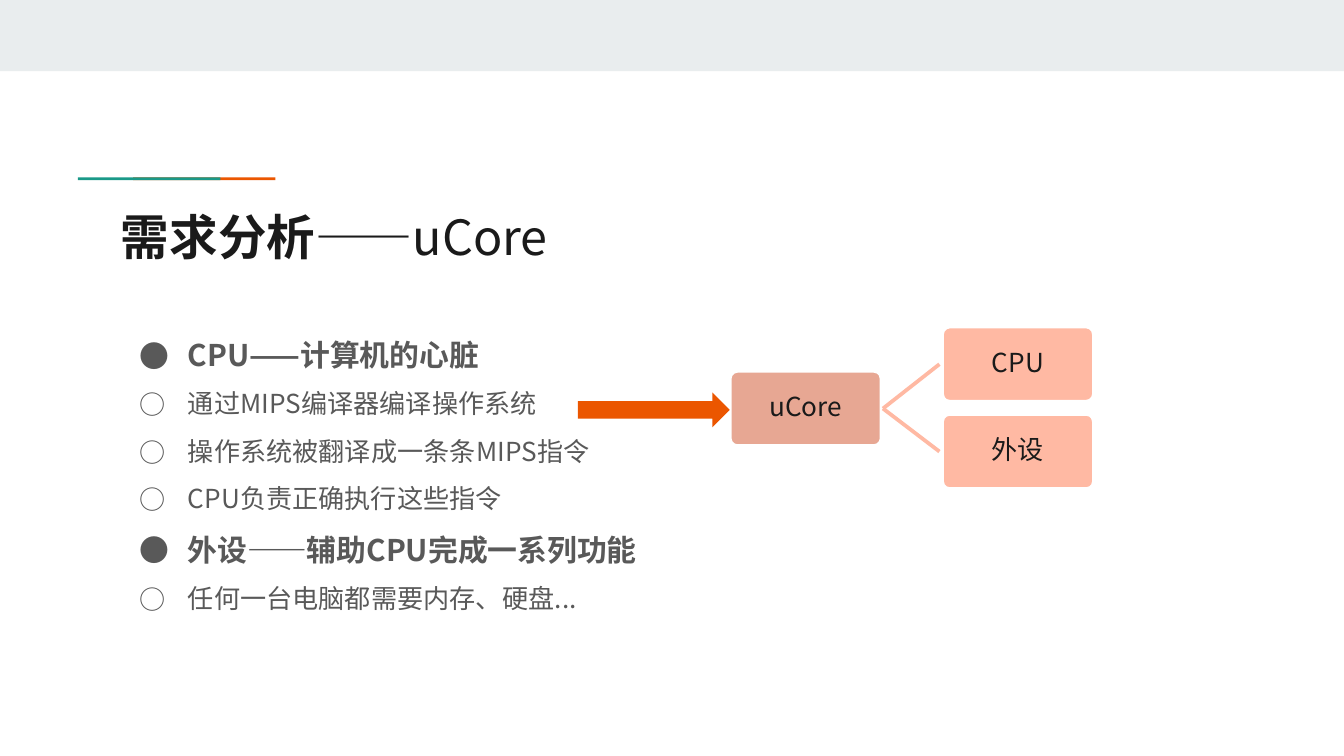
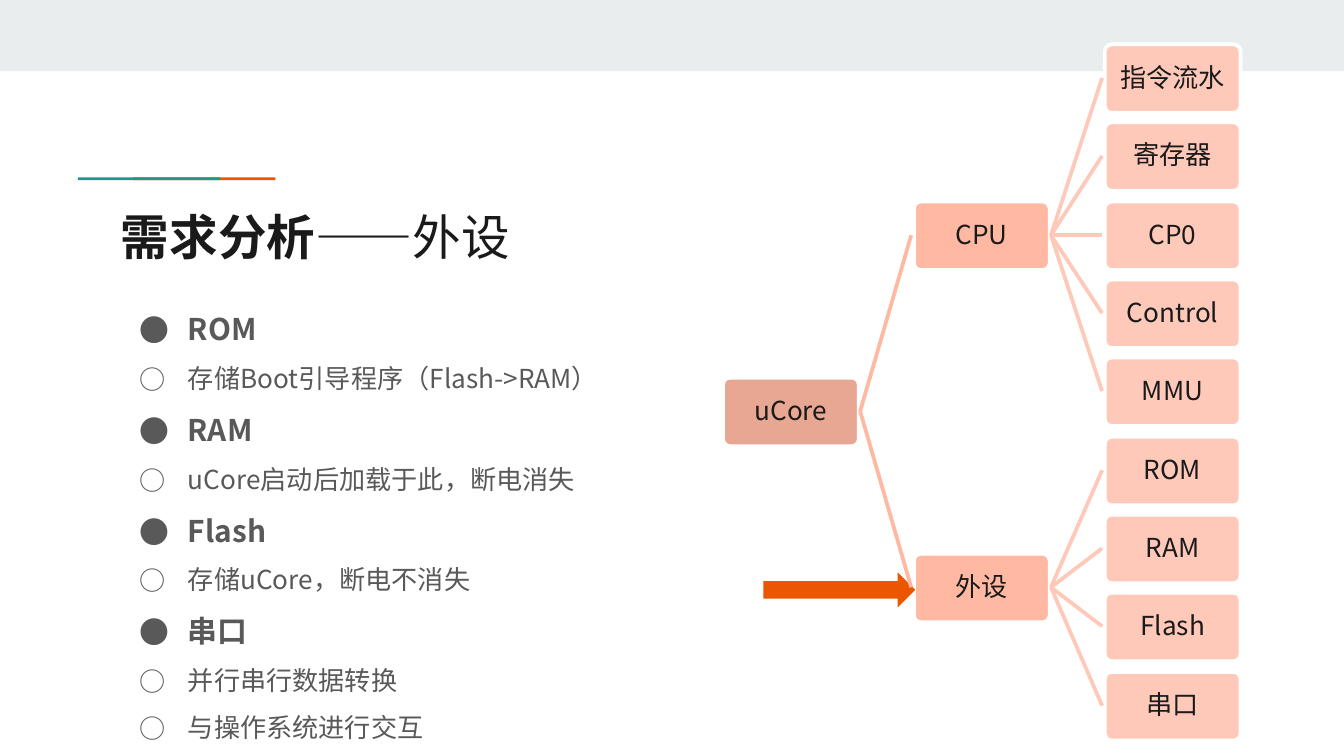
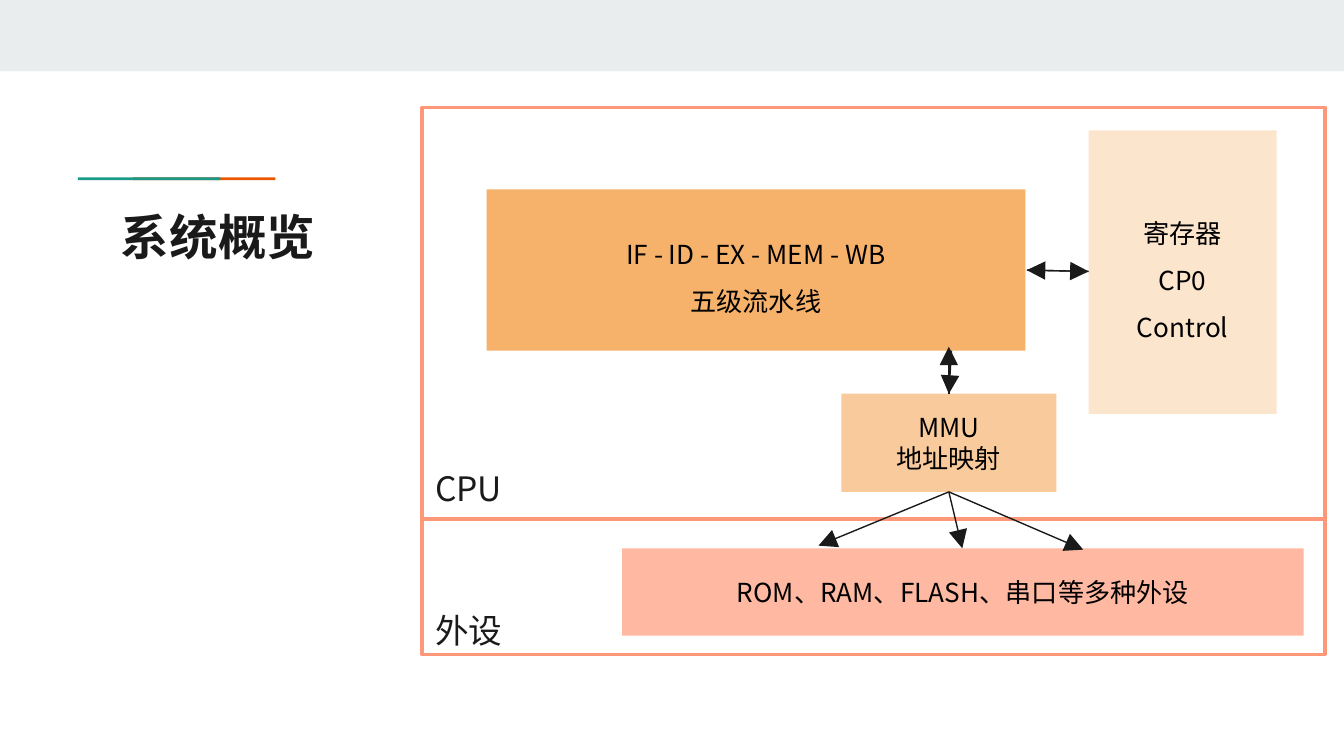
from lxml.etree import SubElement
from pptx import Presentation
from pptx.dml.color import RGBColor
from pptx.enum.shapes import MSO_CONNECTOR, MSO_SHAPE as SHAPE
from pptx.enum.text import MSO_ANCHOR as ANCHOR, MSO_AUTO_SIZE, PP_ALIGN as ALIGN
from pptx.oxml.ns import qn
from pptx.util import Pt

PX = 9144
FONT = "Noto Sans CJK SC"
INK, GREY, BLACK, WHITE = "1A1A1A", "595959", "000000", "FFFFFF"
BAND, TEAL, ORANGE, FRAME = "E9EDEE", "1A9988", "EB5600", "FF9878"
LEVEL_FILLS = ["E7A793", "FFB9A3", "FFC9BA"]
hex_color = RGBColor.from_string


def add_box(page, kind, place, fill, edge=None):
    box = page.shapes.add_shape(kind, *[length * PX for length in place])
    box.shadow.inherit = False
    box.fill.solid()
    box.fill.fore_color.rgb = hex_color(fill)
    if edge:
        box.line.color.rgb = hex_color(edge)
        box.line.width = Pt(2)
    else:
        box.line.fill.background()
    return box


def write(box, lines, color, size=14, bold=False, align=ALIGN.LEFT,
          anchor=ANCHOR.TOP, spacing=1.0, margin=10):
    frame = box.text_frame
    frame.word_wrap = True
    frame.auto_size = MSO_AUTO_SIZE.NONE
    frame.vertical_anchor = anchor
    frame.margin_left = frame.margin_right = margin * PX
    frame.margin_top = frame.margin_bottom = margin * PX
    for index, line in enumerate(lines):
        para = frame.paragraphs[0] if index == 0 else frame.add_paragraph()
        para.text = line.lstrip("●○")
        para.alignment = align
        para.line_spacing = spacing
        para.space_before = Pt(0)
        heading = line.startswith("●")
        if heading or line.startswith("○"):
            para.level = 0 if heading else 4
            props = para._p.get_or_add_pPr()
            props.set("marL", str(50 * PX))
            props.set("indent", str(-36 * PX))
            bullet_color = SubElement(props, qn("a:buClr"))
            SubElement(bullet_color, qn("a:srgbClr")).set("val", color)
            SubElement(props, qn("a:buFont")).set("typeface", FONT)
            SubElement(props, qn("a:buChar")).set("char", line[0])
        para.font.name = FONT
        para.font.size = Pt(16 if heading else size)
        para.font.bold = heading or bold
        para.font.color.rgb = hex_color(color)
        SubElement(para.font._element, qn("a:ea")).set("typeface", FONT)


deck = Presentation()
deck.slide_width = 1000 * PX
deck.slide_height = 1125 * PX // 2

pages = []
for topic, detail in [("需求分析", "——uCore"), ("需求分析", "——外设"), ("系统概览", "")]:
    page = deck.slides.add_slide(deck.slide_layouts[5])
    pages.append(page)
    add_box(page, SHAPE.RECTANGLE, (0, 0, 1000, 53), BAND)
    add_box(page, SHAPE.RECTANGLE, (99, 132, 106, 2), ORANGE)
    add_box(page, SHAPE.RECTANGLE, (58, 132, 106, 2), TEAL)
    title = page.shapes.title
    title.left, title.top, title.width, title.height = 80 * PX, 144 * PX, 841 * PX, 59 * PX
    write(title, [topic], INK, size=26, bold=True)
    if detail:
        span = title.text_frame.paragraphs[0].add_run()
        span.text = detail
        span.font.bold = False

core_page, device_page, system_page = pages
links = []

outlines = [
    (core_page, 227, 247, [
        "●CPU——计算机的心脏",
        "○通过MIPS编译器编译操作系统",
        "○操作系统被翻译成一条条MIPS指令",
        "○CPU负责正确执行这些指令",
        "●外设——辅助CPU完成一系列功能",
        "○任何一台电脑都需要内存、硬盘...",
    ]),
    (device_page, 208, 335, [
        "●ROM",
        "○存储Boot引导程序（Flash->RAM）",
        "●RAM",
        "○uCore启动后加载于此，断电消失",
        "●Flash",
        "○存储uCore，断电不消失",
        "●串口",
        "○并行串行数据转换",
        "○与操作系统进行交互",
    ]),
]
for page, top, height, lines in outlines:
    body = page.shapes.add_textbox(80 * PX, top * PX, 454 * PX, height * PX)
    write(body, lines, GREY, spacing=1.5)

leaves = ["指令流水", "寄存器", "CP0", "Control", "MMU", "ROM", "RAM", "Flash", "串口"]
core_nodes = [("uCore", 0, 0.5, None), ("CPU", 1, 0, 0.5), ("外设", 1, 1, 0.5)]
device_nodes = [("uCore", 0, 4.25, None), ("CPU", 1, 2, 4.25), ("外设", 1, 6.5, 4.25)]
device_nodes += [(leaf, 2, row, 2 if row < 5 else 6.5) for row, leaf in enumerate(leaves)]

trees = [
    (core_page, core_nodes, 543, 243, 113, 56, 158, 65),
    (device_page, device_nodes, 538, 33, 101, 51, 142, 175 / 3),
]
for page, nodes, left, top, width, height, column_step, row_step in trees:
    for label, column, row, parent_row in nodes:
        x = left + column * column_step
        y = round(top + row * row_step)
        fill = LEVEL_FILLS[column]
        node = add_box(page, SHAPE.ROUNDED_RECTANGLE, (x, y, width, height), fill, WHITE)
        node.adjustments[0] = 0.1
        write(node, [label], INK, align=ALIGN.CENTER, anchor=ANCHOR.MIDDLE,
              spacing=0.9, margin=1)
        if parent_row is not None:
            parent_y = round(top + parent_row * row_step)
            start = (x - column_step + width + 1, parent_y + height // 2)
            links.append((page, start, (x - 2, y + height // 2), fill, 2, False))

for page, x, y in [(core_page, 430, 292), (device_page, 568, 426)]:
    add_box(page, SHAPE.RIGHT_ARROW, (x, y, 113, 26), ORANGE)

for top, height, label, label_top in [(386, 101, "外设", 444), (80, 306, "CPU", 338)]:
    add_box(system_page, SHAPE.RECTANGLE, (314, top, 672, height), WHITE, FRAME)
    caption = system_page.shapes.add_textbox(314 * PX, label_top * PX, 182 * PX, 59 * PX)
    write(caption, [label], INK, size=18)

blocks = [
    ((362, 141, 401, 120), "F6B26B", 1.5, ["IF - ID - EX - MEM - WB", "五级流水线"]),
    ((810, 97, 140, 211), "FCE5CD", 1.5, ["寄存器", "CP0", "Control"]),
    ((626, 293, 160, 73), "F9CB9C", 1.0, ["MMU", "地址映射"]),
    ((463, 408, 507, 65), "FFB8A2", 1.0, ["ROM、RAM、FLASH、串口等多种外设"]),
]
for place, fill, spacing, lines in blocks:
    block = add_box(system_page, SHAPE.RECTANGLE, place, fill)
    write(block, lines, BLACK, align=ALIGN.CENTER, anchor=ANCHOR.MIDDLE, spacing=spacing)

mmu_top, mmu_bottom = (706, 293), (706, 366)
pipeline_side, register_side = (764, 201), (810, 202)
arrows = [
    (pipeline_side, register_side),
    (register_side, pipeline_side),
    (mmu_bottom, (609, 406)),
    (mmu_bottom, (716, 408)),
    (mmu_bottom, (806, 409)),
    ((708, 261), mmu_top),
    (mmu_top, (706, 258)),
]
links += [(system_page, start, end, INK, 0.75, True) for start, end in arrows]

for page, start, end, color, weight, pointed in links:
    ends = [length * PX for length in start + end]
    link = page.shapes.add_connector(MSO_CONNECTOR.STRAIGHT, *ends)
    link.line.color.rgb = hex_color(color)
    link.line.width = Pt(weight)
    if pointed:
        head = SubElement(link.line._get_or_add_ln(), qn("a:tailEnd"))
        for name, setting in [("type", "triangle"), ("w", "lg"), ("len", "lg")]:
            head.set(name, setting)
    SubElement(link._element.spPr, qn("a:effectLst"))

deck.save("out.pptx")
